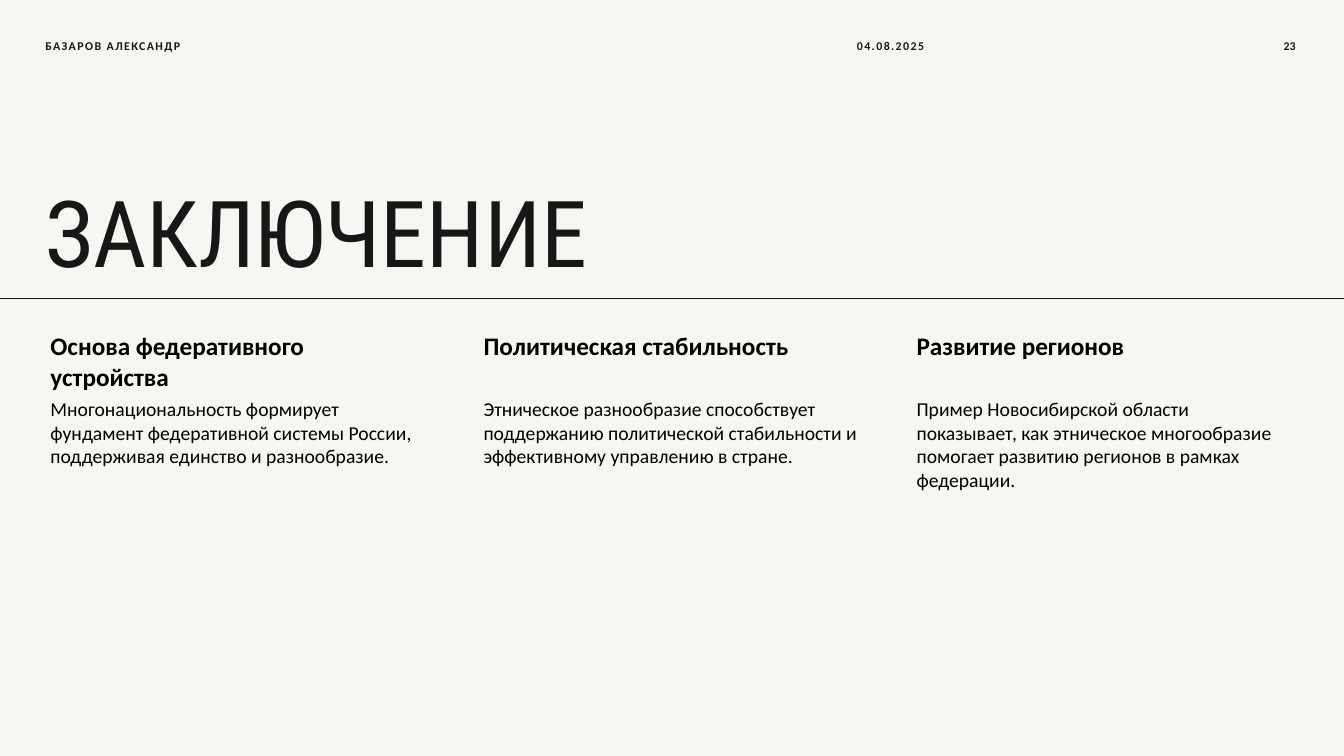
import pptx
import pptx.util
import pptx.dml.color
import pptx.enum.shapes
import pptx.enum.text
import pptx.oxml

Pt = pptx.util.Pt
RGB = pptx.dml.color.RGBColor
ALIGN = pptx.enum.text.PP_ALIGN
ANCHOR = pptx.enum.text.MSO_ANCHOR

PAPER = RGB(0xF7, 0xF6, 0xF3)
INK = RGB(0x17, 0x17, 0x17)
BLACK = RGB(0, 0, 0)

WIDE = pptx.util.Inches(13.33)
HIGH = pptx.util.Inches(7.5)
LEFT = 2.63
STEP = 32.22
SPAN = 29.26
RULE = 39.47

TITLE = {"name": "Roboto Condensed", "size": Pt(66), "bold": False}
META = {"name": "Calibri", "size": Pt(8.5), "bold": True}
HEAD = {"name": "Calibri", "size": Pt(18), "bold": True}
BODY = {"name": "Calibri", "size": Pt(14), "bold": False}

POINTS = [
    ("Основа федеративного устройства",
     "Многонациональность формирует фундамент федеративной системы России, "
     "поддерживая единство и разнообразие."),
    ("Политическая стабильность",
     "Этническое разнообразие способствует поддержанию политической "
     "стабильности и эффективному управлению в стране."),
    ("Развитие регионов",
     "Пример Новосибирской области показывает, как этническое многообразие "
     "помогает развитию регионов в рамках федерации."),
]


def across(share):
    return round(WIDE * share / 100)


def down(share):
    return round(HIGH * share / 100)


def apply(target, values):
    for key, value in values.items():
        setattr(target, key, value)


def add_text(slide, area, text, font, color, frame=None, para=None):
    x, y, w, h = area
    box = slide.shapes.add_textbox(across(x), down(y), across(w), down(h))
    apply(box.text_frame, {"word_wrap": True, **(frame or {})})
    line = box.text_frame.paragraphs[0]
    apply(line, para or {})
    run = line.add_run()
    run.text = text
    apply(run.font, font)
    run.font.color.rgb = color
    return run


def add_meta(slide, x, w, text, align, track):
    run = add_text(slide, (x, 3.07, w, 6), text, META, INK,
                   {"vertical_anchor": ANCHOR.MIDDLE},
                   {"alignment": align, "space_after": Pt(6)})
    if track:
        run.font._element.set("spc", str(track))


def add_rule(slide):
    rule = slide.shapes.add_connector(
        pptx.enum.shapes.MSO_CONNECTOR.STRAIGHT,
        0, down(RULE), WIDE, down(RULE))
    rule.line.color.rgb = INK
    rule.line.width = Pt(0.75)
    pptx.oxml.ns.qn("a:effectLst")
    rule._element.spPr.append(
        pptx.oxml.xmlchemy.OxmlElement("a:effectLst"))


def add_point(slide, index, head, body):
    x = LEFT + index * STEP
    for text, font, y, h, inset in ((head, HEAD, 43.33, 8.93, 0.03),
                                    (body, BODY, 52.27, 40.67, 0.02)):
        pad = pptx.util.Inches(inset)
        frame = {"margin_left": pptx.util.Inches(0.15), "margin_top": pad,
                 "margin_right": pad, "margin_bottom": pad}
        add_text(slide, (x, y, SPAN, h), text, font, BLACK, frame)


def main():
    deck = pptx.Presentation()
    apply(deck, {"slide_width": WIDE, "slide_height": HIGH})
    slide = deck.slides.add_slide(deck.slide_layouts[6])
    slide.background.fill.solid()
    slide.background.fill.fore_color.rgb = PAPER
    add_rule(slide)
    add_text(slide, (LEFT, 15.07, 93.7, 23.07), "ЗАКЛЮЧЕНИЕ", TITLE, INK,
             {"vertical_anchor": ANCHOR.BOTTOM}, {"line_spacing": 0.7})
    for index, (head, body) in enumerate(POINTS):
        add_point(slide, index, head, body)
    add_meta(slide, LEFT, 24.31, "БАЗАРОВ АЛЕКСАНДР", ALIGN.LEFT, 100)
    add_meta(slide, 63.02, 15.75, "04.08.2025", ALIGN.LEFT, 100)
    add_meta(slide, 92.65, 4.5, "23", ALIGN.RIGHT, 0)
    deck.save("out.pptx")


if __name__ == "__main__":
    main()
